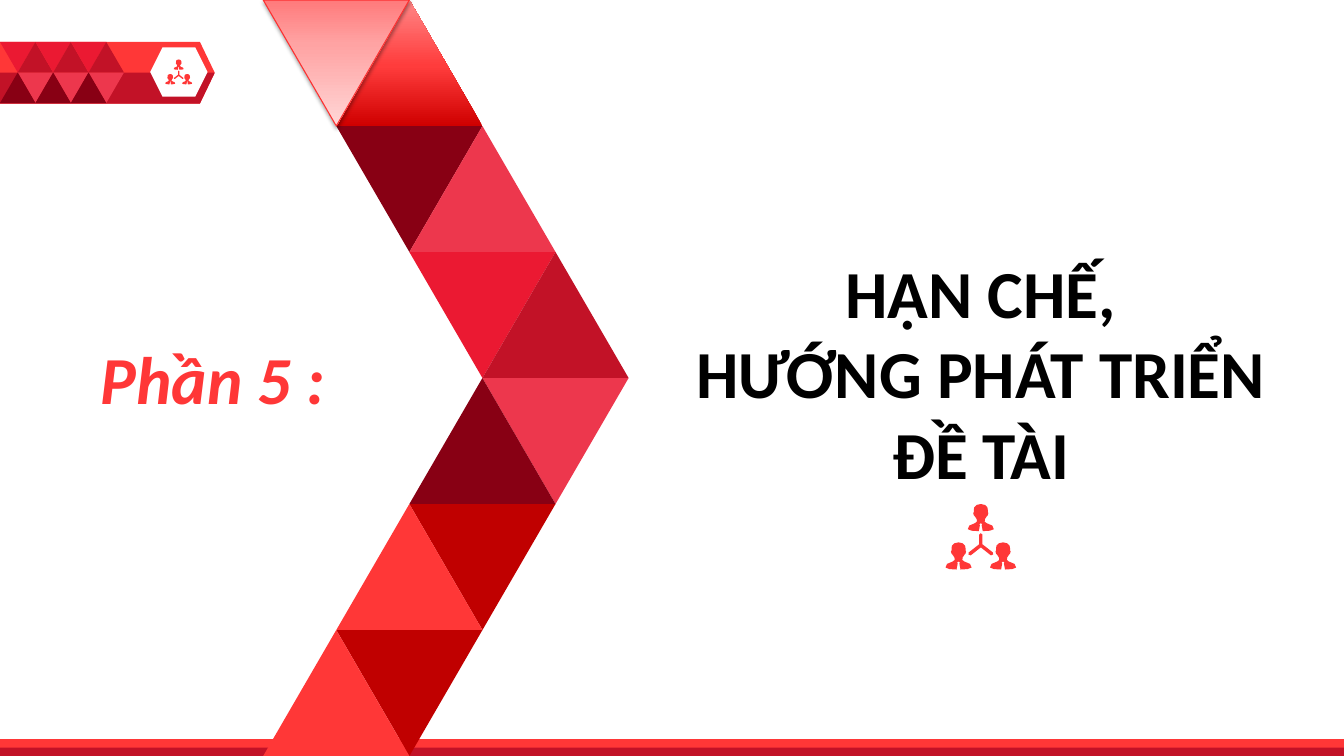
from copy import deepcopy
from dataclasses import dataclass
from typing import NamedTuple

from lxml import etree
from pptx import Presentation
from pptx.dml.color import RGBColor
from pptx.enum.shapes import MSO_SHAPE
from pptx.enum.text import MSO_ANCHOR, MSO_AUTO_SIZE, PP_ALIGN
from pptx.oxml.ns import qn
from pptx.util import Pt

TRIANGLE = MSO_SHAPE.ISOSCELES_TRIANGLE
RECTANGLE = MSO_SHAPE.RECTANGLE
PENTAGON = MSO_SHAPE.PENTAGON
HEXAGON = MSO_SHAPE.HEXAGON
TOP = MSO_ANCHOR.TOP
NO_FIT = MSO_AUTO_SIZE.NONE
LEFT = PP_ALIGN.LEFT
CENTER = PP_ALIGN.CENTER


@dataclass(frozen=True)
class Theme:
    font: str = "Calibri"
    size: float = 48
    black: str = "000000"
    white: str = "FFFFFF"
    coral: str = "FF3737"
    crimson: str = "C21227"
    scarlet: str = "EB1932"
    rose: str = "ED374D"
    maroon: str = "880014"
    red: str = "C00000"
    outline: str = "FD3030"
    deep_stops: tuple = ((0, "CF0000"), (0.48, "FF3C3C"), (1, "FF8787"))
    pale_stops: tuple = ((0, "FF7A7B"), (0.35, "FFA3A3"), (1, "FFD6D6"))


class Box(NamedTuple):
    x: float
    y: float
    w: float
    h: float


class Grid(NamedTuple):
    x: float
    y: float
    half: float
    height: float


class Tile(NamedTuple):
    col: int
    row: int
    up: bool
    fill: str | tuple


class Part(NamedTuple):
    x: float
    y: float
    half_outline: tuple


THEME = Theme()
SLIDE_W, SLIDE_H = 960, 540

BAND = Grid(0, 30, 12.65, 21.8)
BAND_TILES = [
    Tile(2 * i + col, row, up, fill)
    for i in range(3)
    for col, row, up, fill in (
        (0, 0, False, THEME.scarlet),
        (1, 0, True, THEME.crimson),
        (1, 1, False, THEME.rose),
        (0, 1, True, THEME.maroon),
    )
]

CHEVRON = Grid(188, 0, 52.2, 90)
CHEVRON_TILES = [
    Tile(1, 0, True, THEME.deep_stops),
    Tile(1, 1, False, THEME.maroon),
    Tile(0, 0, False, THEME.pale_stops),
    Tile(2, 1, True, THEME.rose),
    Tile(2, 2, False, THEME.scarlet),
    Tile(3, 2, True, THEME.crimson),
    Tile(3, 3, False, THEME.rose),
    Tile(2, 3, True, THEME.maroon),
    Tile(2, 4, False, THEME.red),
    Tile(1, 4, True, THEME.coral),
    Tile(1, 5, False, THEME.red),
    Tile(0, 5, True, THEME.coral),
]

PERSON = (
    (0, 0), (3, 0.7), (4.7, 2.4), (5, 4.3), (5, 5.8), (5.4, 6.5), (5, 8),
    (4.3, 8.8), (2.9, 10.8), (2.8, 12.6), (4, 13.6), (5.8, 14.4),
    (8.2, 15.4), (9.3, 18), (6.5, 19.1), (1.4, 19.4), (0.6, 15.1),
    (1.1, 14.4), (0, 13.7),
)
LINK = ((0, 0), (1.2, 1), (1.2, 7.9), (8.6, 13.7), (8.8, 15.2),
        (7.2, 15.8), (0, 10.1))
TEAM = (
    Part(41.1, 27.4, PERSON),
    Part(9.3, 27.4, PERSON),
    Part(25.2, 20.9, LINK),
    Part(25.2, 0, PERSON),
)


def paint(s, fill: str | tuple) -> None:
    s.shadow.inherit = False
    s.line.fill.background()
    if isinstance(fill, str):
        s.fill.solid()
        s.fill.fore_color.rgb = RGBColor.from_string(fill)
        return
    s.fill.gradient()
    s.fill.gradient_angle = 90
    stop_list = s.fill._fill._gradFill.find(qn("a:gsLst"))
    stop_list.append(deepcopy(stop_list[-1]))
    for stop, (position, color) in zip(s.fill.gradient_stops, fill):
        stop.position = position
        stop.color.rgb = RGBColor.from_string(color)


def add_preset(shapes, kind, box: Box, fill: str | tuple):
    s = shapes.add_shape(kind, *map(Pt, box))
    paint(s, fill)
    return s


def add_outline(shapes, contours: list, fill: str) -> None:
    builder = None
    for contour in contours:
        points = [(Pt(x), Pt(y)) for x, y in contour]
        if builder is None:
            builder = shapes.build_freeform(*points[0], scale=1.0)
        else:
            builder.move_to(*points[0])
        builder.add_line_segments(points[1:], close=True)
    paint(builder.convert_to_shape(), fill)


def add_team(shapes, x: float, y: float, scale: float) -> None:
    contours = []
    for part in TEAM:
        half = part.half_outline
        whole = half + tuple((-dx, dy) for dx, dy in half[-2:0:-1])
        contours.append([(x + scale * (part.x + dx), y + scale * (part.y + dy))
                         for dx, dy in whole])
    add_outline(shapes, contours, THEME.coral)


def add_tiles(shapes, grid: Grid, tiles: list[Tile]) -> None:
    for tile in tiles:
        box = Box(grid.x + tile.col * grid.half, grid.y + tile.row * grid.height,
                  2 * grid.half, grid.height)
        s = add_preset(shapes, TRIANGLE, box, tile.fill)
        s.rotation = 0 if tile.up else 180
        if tile.fill == THEME.pale_stops:
            add_edge_and_shadow(s)


def add_edge_and_shadow(s) -> None:
    s.line.color.rgb = RGBColor.from_string(THEME.outline)
    s.line.width = Pt(0.75)
    effects = s._element.spPr.find(qn("a:effectLst"))
    shadow = etree.SubElement(effects, qn("a:outerShdw"), blurRad=str(Pt(3.1)),
                              dist=str(Pt(1.6)), dir="5400000", rotWithShape="0")
    color = etree.SubElement(shadow, qn("a:srgbClr"), val=THEME.black)
    etree.SubElement(color, qn("a:alpha"), val="37000")


def write(s, box: Box, text: str, color: str, align, italic: bool) -> None:
    s.left, s.top, s.width, s.height = map(Pt, box)
    tf = s.text_frame
    tf.text = text
    tf.word_wrap = True
    tf.auto_size = NO_FIT
    tf.vertical_anchor = TOP
    for p in tf.paragraphs:
        p.alignment = align
        for r in p.runs:
            r.font.name = THEME.font
            r.font.size = Pt(THEME.size)
            r.font.bold = True
            r.font.italic = italic
            r.font.color.rgb = RGBColor.from_string(color)


def main() -> None:
    prs = Presentation()
    prs.slide_width, prs.slide_height = Pt(SLIDE_W), Pt(SLIDE_H)
    slide = prs.slides.add_slide(prs.slide_layouts[5])
    shapes = slide.shapes

    plate = add_preset(shapes, PENTAGON, Box(0, 30, 153.4, 44), THEME.coral)
    plate.adjustments[0] = 0.24
    add_outline(shapes, [[(0, 52), (153.4, 52), (142.8, 74), (0, 74)]], THEME.crimson)
    add_preset(shapes, HEXAGON, Box(107.3, 33.8, 41, 35.3), THEME.white)
    add_team(shapes, 118.1, 42.5, 0.38)
    add_tiles(shapes, BAND, BAND_TILES)

    add_preset(shapes, RECTANGLE, Box(0, 528, SLIDE_W, 12), THEME.coral)
    add_preset(shapes, RECTANGLE, Box(0, 534, SLIDE_W, 6), THEME.crimson)
    add_tiles(shapes, CHEVRON, CHEVRON_TILES)

    part_box = Box(64.8, 237.6, 296.6, 64.8)
    write(shapes.add_textbox(*map(Pt, part_box)), part_box, "Phần 5 :",
          THEME.coral, LEFT, True)
    write(shapes.title, Box(448.6, 175.7, 504, 181.4),
          "HẠN CHẾ,\nHƯỚNG PHÁT TRIỂN\nĐỀ TÀI", THEME.black, CENTER, False)
    add_team(shapes, 675.4, 360, 1)
    prs.save("out.pptx")


if __name__ == "__main__":
    main()
